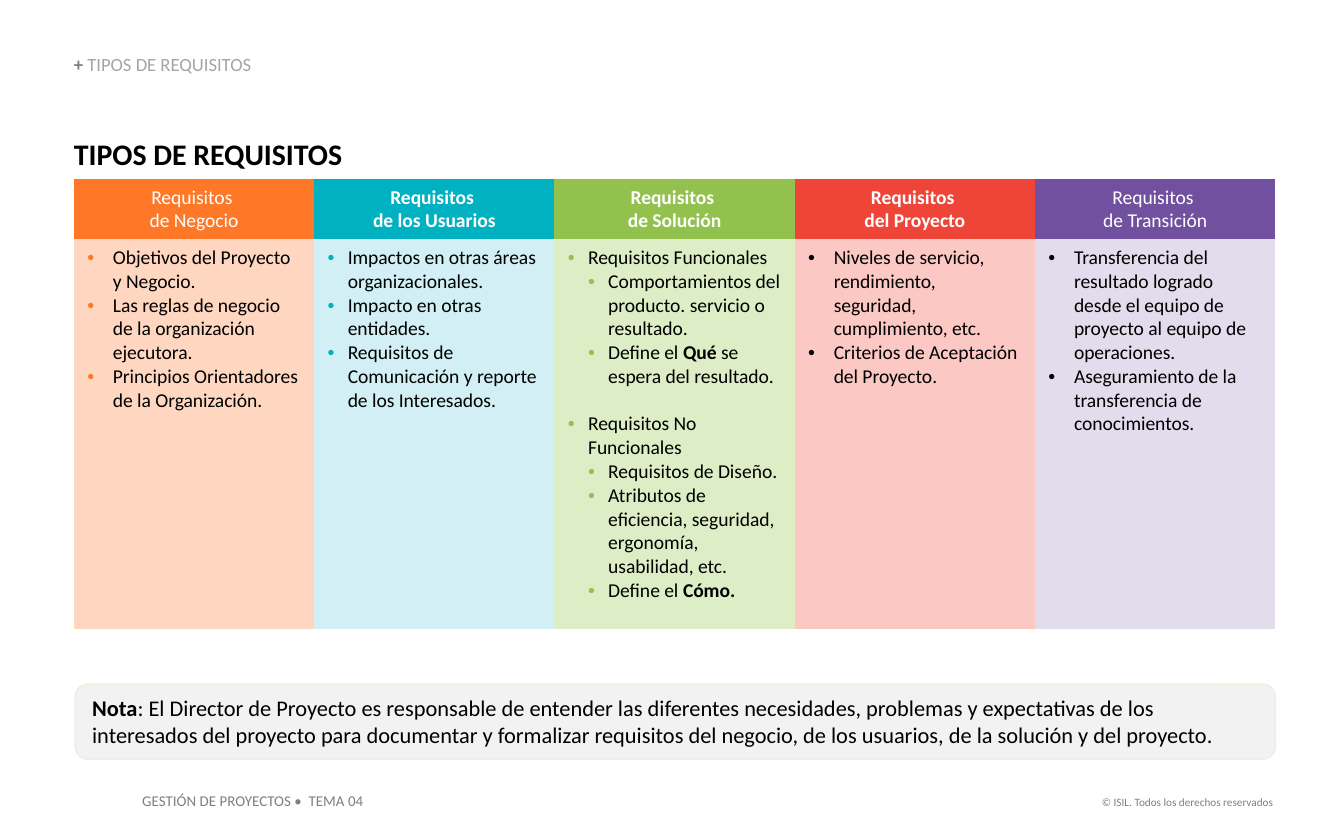
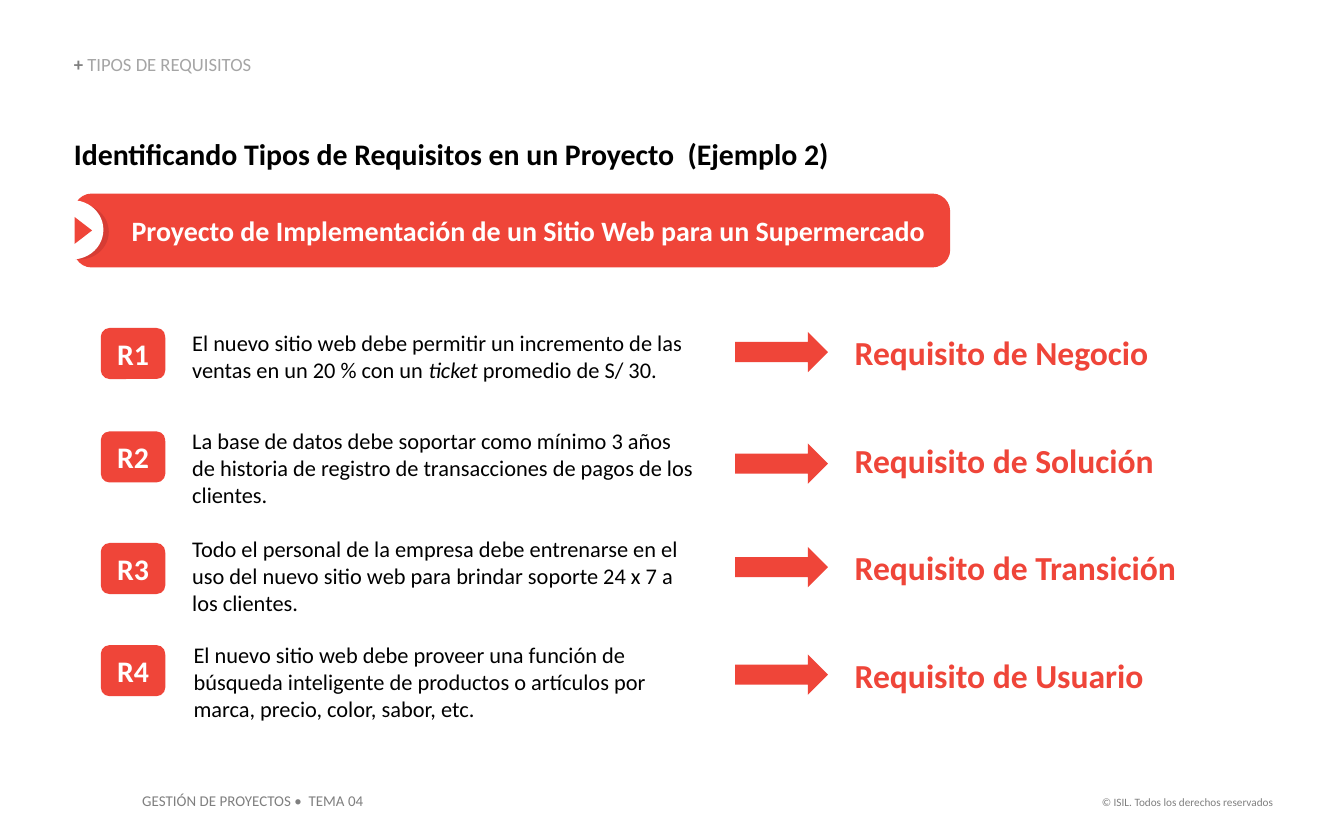
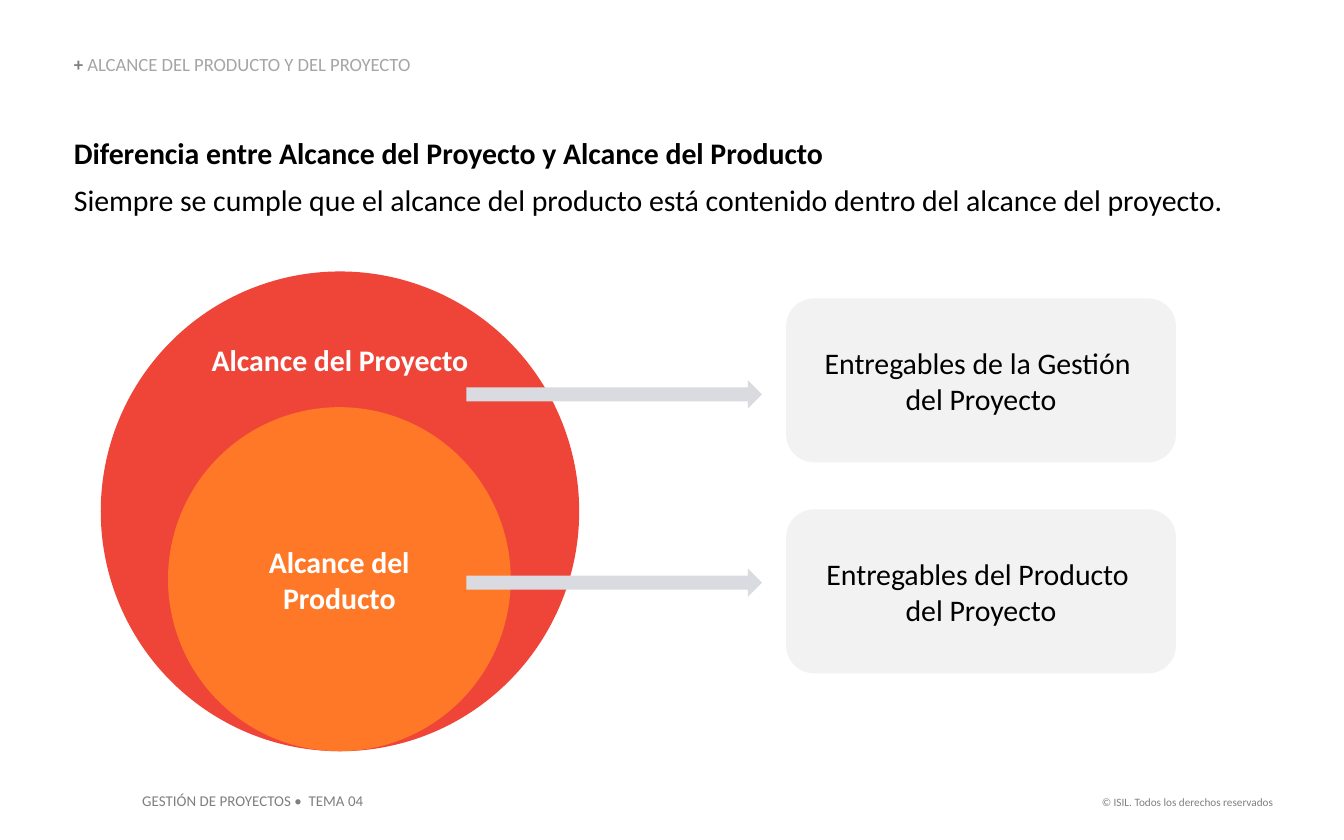
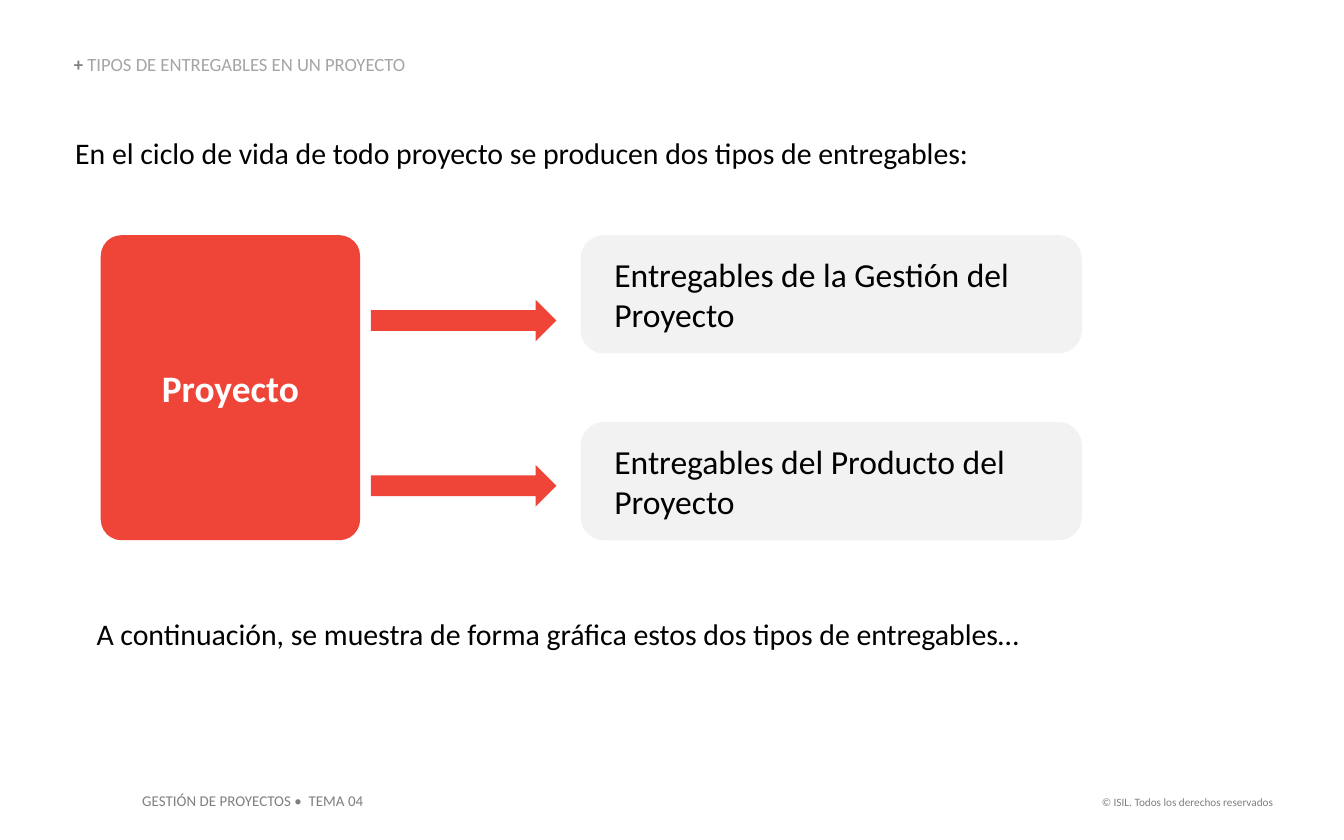
import pptx
import pptx.util
import pptx.dml.color
import pptx.enum.shapes
import pptx.enum.text
import pptx.oxml
import pptx.oxml.ns
import lxml.etree

Inches = pptx.util.Inches
Pt = pptx.util.Pt
RGBColor = pptx.dml.color.RGBColor
Shape = pptx.enum.shapes.MSO_SHAPE
Align = pptx.enum.text.PP_ALIGN
Anchor = pptx.enum.text.MSO_ANCHOR
qn = pptx.oxml.ns.qn

FONT = "Calibri"
BLACK = RGBColor(0x00, 0x00, 0x00)
WHITE = RGBColor(0xFF, 0xFF, 0xFF)
RED = RGBColor(0xEF, 0x45, 0x39)
DARK_RED = RGBColor(0xD6, 0x3C, 0x34)
ORANGE = RGBColor(0xFE, 0x78, 0x28)
TEAL = RGBColor(0x00, 0xB1, 0xC2)
GREEN = RGBColor(0x92, 0xC1, 0x4E)
PURPLE = RGBColor(0x71, 0x50, 0xA0)
PALE_ORANGE = RGBColor(0xFF, 0xD7, 0xC1)
PALE_TEAL = RGBColor(0xD1, 0xEF, 0xF4)
PALE_GREEN = RGBColor(0xDD, 0xEE, 0xC7)
PALE_RED = RGBColor(0xFB, 0xC8, 0xC4)
PALE_PURPLE = RGBColor(0xE3, 0xDC, 0xED)
GRAY = RGBColor(0x7F, 0x7F, 0x7F)
SILVER = RGBColor(0xA5, 0xA5, 0xA5)
MIST = RGBColor(0xF2, 0xF2, 0xF2)
STEEL = RGBColor(0xD9, 0xDB, 0xE1)
CREAM = RGBColor(0xEA, 0xF1, 0xDD)

NONE = (0, 0, 0, 0)
INSET = (0.1, 0.05, 0.1, 0.05)
NO_GRID = "{2D5ABB26-0587-4C30-8999-92F81FD0307C}"

TYPES = [
    ("de Negocio", False, ORANGE, PALE_ORANGE, ORANGE, 0.19, [
        (1, ["Objetivos del Proyecto y Negocio."]),
        (1, ["Las reglas de negocio de la organización ejecutora."]),
        (1, ["Principios Orientadores de la Organización."])]),
    ("de los Usuarios", True, TEAL, PALE_TEAL, TEAL, 0.15, [
        (1, ["Impactos en otras áreas organizacionales."]),
        (1, ["Impacto en otras entidades."]),
        (1, ["Requisitos de Comunicación y reporte de los Interesados."])]),
    ("de Solución", True, GREEN, PALE_GREEN, GREEN, 0.15, [
        (1, ["Requisitos Funcionales"]),
        (2, ["Comportamientos del producto. servicio o resultado."]),
        (2, ["Define el ", ("Qué", {"bold": True}), " se espera del resultado."]),
        (1, ["Requisitos No Funcionales"]),
        (2, ["Requisitos de Diseño."]),
        (2, ["Atributos de eficiencia, seguridad, ergonomía, usabilidad, etc."]),
        (2, ["Define el ", ("Cómo.", {"bold": True})])]),
    ("del Proyecto", True, RED, PALE_RED, BLACK, 0.19, [
        (1, ["Niveles de servicio, rendimiento, seguridad, cumplimiento, etc."]),
        (1, ["Criterios de Aceptación del Proyecto."])]),
    ("de Transición", False, PURPLE, PALE_PURPLE, BLACK, 0.19, [
        (1, ["Transferencia del resultado logrado desde el equipo de proyecto "
             "al equipo de operaciones."]),
        (1, ["Aseguramiento de la transferencia de conocimientos."])]),
]

CASES = [
    ("R1", 2.44, 1.43, 2.45, 0.4, 2.47, 2.47, "Requisito de Negocio",
     ["El nuevo sitio web debe permitir un incremento de las ventas en un 20 % con un ",
      ("ticket", {"italic": True}), " promedio de S/ 30."]),
    ("R2", 3.21, 1.43, 3.18, 0.61, 3.3, 3.27, "Requisito de Solución",
     ["La base de datos debe soportar como mínimo 3 años de historia de registro "
      "de transacciones de pagos de los clientes."]),
    ("R3", 4.04, 1.43, 3.98, 0.61, 4.07, 4.07, "Requisito de Transición",
     ["Todo el personal de la empresa debe entrenarse en el uso del nuevo sitio web "
      "para brindar soporte 24 x 7 a los clientes."]),
    ("R4", 4.8, 1.44, 4.77, 0.61, 4.87, 4.87, "Requisito de Usuario",
     ["El nuevo sitio web debe proveer una función de búsqueda inteligente de productos "
      "o artículos por marca, precio, color, sabor, etc."]),
]


def add_runs(par, runs, size, color=BLACK, bold=False, align=Align.LEFT):
    par.alignment = align
    for item in runs:
        text, style = (item, {}) if isinstance(item, str) else item
        for row, line in enumerate(text.split("\n")):
            if row:
                par.add_line_break()
            run = par.add_run()
            run.text = line
            font = run.font
            font.name = FONT
            font.size = Pt(size)
            font.bold = style.get("bold", bold)
            font.italic = style.get("italic", False)
            font.color.rgb = style.get("color", color)


def set_frame(frame, inset, anchor):
    frame.word_wrap = True
    frame.vertical_anchor = anchor
    (frame.margin_left, frame.margin_top,
     frame.margin_right, frame.margin_bottom) = map(Inches, inset)


def add_text(slide, box, runs, size, inset=NONE, anchor=Anchor.TOP, **style):
    frame = slide.shapes.add_textbox(*map(Inches, box)).text_frame
    set_frame(frame, inset, anchor)
    add_runs(frame.paragraphs[0], runs, size, **style)
    return frame


def add_form(slide, kind, box, fill, adjust=None, edge=None):
    form = slide.shapes.add_shape(kind, *map(Inches, box))
    form.shadow.inherit = False
    form.fill.solid()
    form.fill.fore_color.rgb = fill
    if edge:
        form.line.color.rgb = edge
        form.line.width = Pt(0.75)
    else:
        form.line.fill.background()
    if adjust is not None:
        form.adjustments[0] = adjust
    return form


def add_label(form, runs, size, inset=INSET, anchor=Anchor.MIDDLE, **style):
    set_frame(form.text_frame, inset, anchor)
    add_runs(form.text_frame.paragraphs[0], runs, size, **style)


def add_arrow(slide, box, fill=RED):
    add_form(slide, Shape.RIGHT_ARROW, box, fill)


def add_bullet(par, color, left, hang):
    props = par._p.get_or_add_pPr()
    props.set("marL", str(Inches(left)))
    props.set("indent", str(-Inches(hang)))
    tint = lxml.etree.SubElement(props, qn("a:buClr"))
    lxml.etree.SubElement(tint, qn("a:srgbClr"), val=str(color))
    lxml.etree.SubElement(props, qn("a:buFont"), typeface="Arial")
    lxml.etree.SubElement(props, qn("a:buChar"), char="•")


def fill_cell(cell, color, anchor):
    cell.fill.solid()
    cell.fill.fore_color.rgb = color
    cell.vertical_anchor = anchor
    cell.margin_left = cell.margin_right = Inches(0.1)
    cell.margin_top = cell.margin_bottom = Inches(0.05)


def add_types(slide):
    frame = slide.shapes.add_table(2, len(TYPES), *map(Inches, (0.55, 1.33, 8.94, 3.35)))
    table = frame.table
    table.first_row = table.horz_banding = False
    table._tbl.tblPr.find(qn("a:tableStyleId")).text = NO_GRID
    table.rows[0].height = Inches(0.45)
    table.rows[1].height = Inches(2.9)
    for col, (name, bold, dark, pale, dot, step, items) in enumerate(TYPES):
        head, body = table.cell(0, col), table.cell(1, col)
        fill_cell(head, dark, Anchor.MIDDLE)
        add_runs(head.text_frame.paragraphs[0], ["Requisitos \n" + name], 10.5,
                 color=WHITE, bold=bold, align=Align.CENTER)
        fill_cell(body, pale, Anchor.TOP)
        depth = 1
        for row, (level, runs) in enumerate(items):
            par = body.text_frame.add_paragraph() if row else body.text_frame.paragraphs[0]
            add_bullet(par, dot, step * level, step)
            if level < depth:
                par.space_before = Pt(12.8)
            depth = level
            add_runs(par, runs, 10.5)


def add_page(deck, topic):
    slide = deck.slides.add_slide(deck.slide_layouts[6])
    add_text(slide, (7.91, 5.87, 1.66, 0.2), ["© ISIL. Todos los derechos reservados"], 6,
             INSET, color=GRAY, align=Align.RIGHT)
    add_text(slide, (0.96, 5.84, 1.85, 0.24), ["GESTIÓN DE PROYECTOS •  TEMA 04"], 8,
             INSET, color=GRAY)
    crumb = add_text(slide, (0.55, 0.41, 4.25, 0.15),
                     [("+ ", {"bold": True, "color": GRAY}), topic], 10,
                     anchor=Anchor.BOTTOM, color=SILVER)
    crumb.paragraphs[0].line_spacing = 0.9
    return slide


def add_title(slide, text):
    add_text(slide, (0.55, 1.01, 8.22, 0.27), [text], 16, bold=True, align=Align.JUSTIFY)


def show_types(deck):
    slide = add_page(deck, "TIPOS DE REQUISITOS")
    add_types(slide)
    add_title(slide, "TIPOS DE REQUISITOS")
    note = add_form(slide, Shape.ROUNDED_RECTANGLE, (0.56, 5.09, 8.93, 0.56), MIST, 0.17, CREAM)
    add_label(note, [("Nota", {"bold": True}),
                     ": El Director de Proyecto es responsable de entender las diferentes "
                     "necesidades, problemas y expectativas de los interesados del proyecto "
                     "para documentar y formalizar requisitos del negocio, de los usuarios, "
                     "de la solución y del proyecto."], 12, anchor=Anchor.TOP)


def show_cases(deck):
    slide = add_page(deck, "TIPOS DE REQUISITOS")
    add_title(slide, "Identificando Tipos de Requisitos en un Proyecto  (Ejemplo 2)")
    band = add_form(slide, Shape.ROUNDED_RECTANGLE, (0.55, 1.44, 6.52, 0.55), RED, 0.24)
    add_label(band, ["Proyecto de Implementación de un Sitio Web para un Supermercado"], 15,
              (0.39, 0.05, 0.1, 0.05), color=WHITE, bold=True)
    add_form(slide, Shape.OVAL, (0.38, 1.52, 0.43, 0.41), DARK_RED)
    add_form(slide, Shape.OVAL, (0.31, 1.49, 0.46, 0.44), WHITE)
    tip = add_form(slide, Shape.ISOSCELES_TRIANGLE, (0.52, 1.65, 0.2, 0.13), RED)
    tip.rotation = 90
    for code, top, left, high, tall, mid, end, kind, runs in CASES:
        badge = add_form(slide, Shape.ROUNDED_RECTANGLE, (0.75, top, 0.48, 0.38), RED, 0.17)
        add_label(badge, [code], 16, color=WHITE, bold=True, align=Align.CENTER)
        add_text(slide, (left, high, 3.75, tall), runs, 12)
        add_arrow(slide, (5.47, mid, 0.69, 0.3))
        add_text(slide, (6.36, end, 3.57, 0.3), [kind], 18, color=RED, bold=True,
                 align=Align.JUSTIFY)


def show_scope(deck):
    slide = add_page(deck, "ALCANCE DEL PRODUCTO Y DEL PROYECTO")
    frame = add_text(slide, (0.55, 1, 8.87, 0.62),
                     ["Diferencia entre Alcance del Proyecto y Alcance del Producto"], 16,
                     bold=True)
    par = frame.add_paragraph()
    par.space_before = Pt(6)
    add_runs(par, ["Siempre se cumple que el alcance del producto está contenido dentro "
                   "del alcance del proyecto."], 16)
    white = {"color": WHITE, "bold": True, "align": Align.CENTER}
    outer = add_form(slide, Shape.OVAL, (0.75, 2.02, 3.56, 3.57), RED)
    add_label(outer, ["Alcance del Proyecto"], 16, (0.1, 0, 0.1, 0.05), Anchor.TOP, **white)
    inner = add_form(slide, Shape.OVAL, (1.25, 3.03, 2.55, 2.56), ORANGE)
    add_label(inner, ["Alcance del Producto"], 16, **white)
    for top, mid, name in ((2.22, 2.83, "de la Gestión"), (3.79, 4.23, "del Producto")):
        card = add_form(slide, Shape.ROUNDED_RECTANGLE, (5.85, top, 2.9, 1.22), MIST, 0.17)
        add_label(card, ["Entregables " + name + " \ndel Proyecto"], 16, align=Align.CENTER)
        add_arrow(slide, (3.47, mid, 2.2, 0.21), STEEL)


def show_goods(deck):
    slide = add_page(deck, "TIPOS DE ENTREGABLES EN UN PROYECTO")
    add_text(slide, (0.56, 1, 8.87, 0.31),
             ["En el ciclo de vida de todo proyecto se producen dos tipos de entregables:"], 16,
             (0, 0, 0, 0.04))
    add_text(slide, (0.62, 4.53, 8.87, 0.37),
             ["A continuación, se muestra de forma gráfica estos dos tipos de entregables…"], 16,
             INSET)
    block = add_form(slide, Shape.ROUNDED_RECTANGLE, (0.75, 1.75, 1.93, 2.27), RED, 0.08)
    add_label(block, ["Proyecto"], 20, color=WHITE, bold=True, align=Align.CENTER)
    for top, mid, name in ((1.75, 2.23, "de la Gestión"), (3.14, 3.46, "del Producto")):
        add_arrow(slide, (2.76, mid, 1.38, 0.31))
        card = add_form(slide, Shape.ROUNDED_RECTANGLE, (4.32, top, 3.73, 0.88), MIST, 0.2)
        add_label(card, ["Entregables " + name + " del Proyecto"], 18, (0.2, 0.05, 0.1, 0.05))


def main():
    deck = pptx.Presentation()
    deck.slide_width = Inches(10)
    deck.slide_height = Inches(6.25)
    show_types(deck)
    show_cases(deck)
    show_scope(deck)
    show_goods(deck)
    deck.save("out.pptx")


if __name__ == "__main__":
    main()
